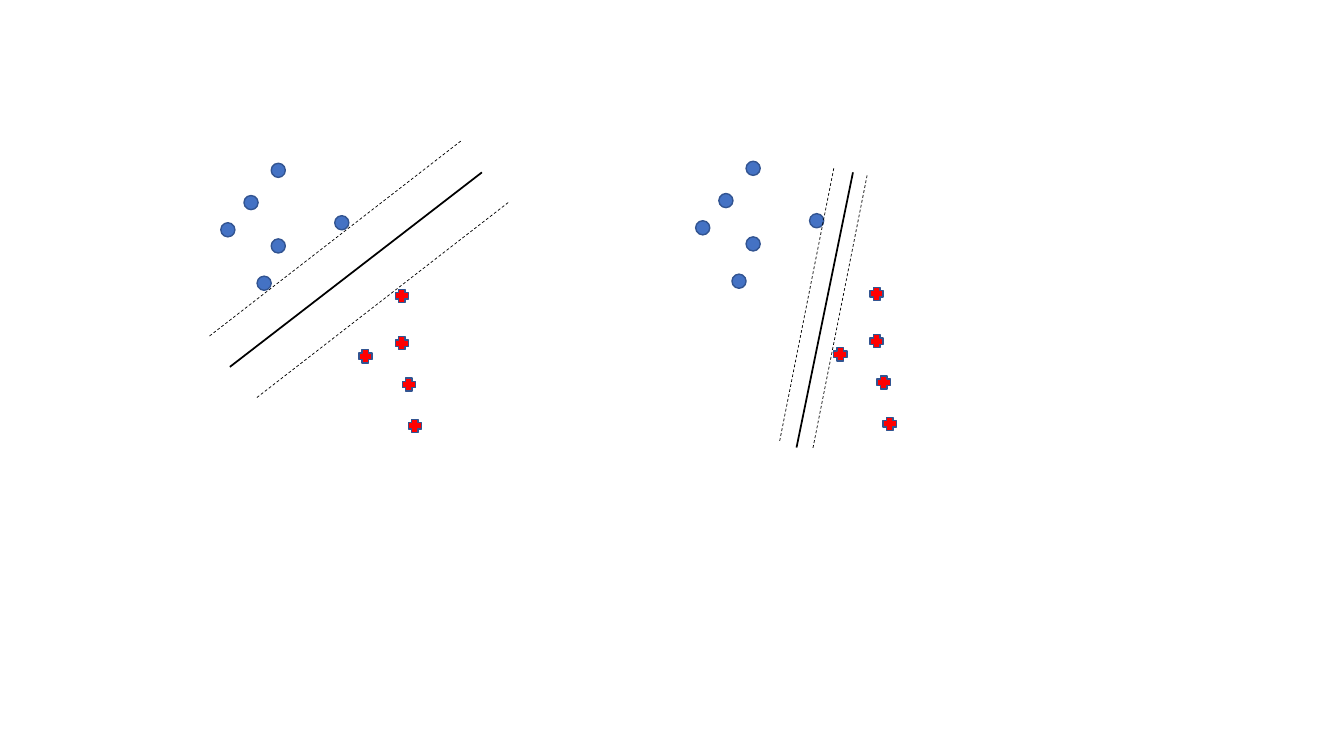
from lxml import etree
from pptx import Presentation
from pptx.dml.color import RGBColor
from pptx.enum.dml import MSO_LINE
from pptx.enum.shapes import MSO_CONNECTOR, MSO_SHAPE
from pptx.oxml.ns import qn
from pptx.util import Inches, Pt

OVAL, PLUS = MSO_SHAPE.OVAL, MSO_SHAPE.CROSS
STRAIGHT, DASH = MSO_CONNECTOR.STRAIGHT, MSO_LINE.DASH
COLORS = {"circle": "4472C4", "cross": "FF0000", "outline": "325491", "line": "000000"}

# Top left corners of the points in the left panel
CIRCLES = [(2.69, 2.37), (3.32, 2.14), (2.19, 2.21), (2.42, 1.94), (2.69, 1.62), (2.55, 2.74)]
CROSSES = [(3.92, 2.87), (3.56, 3.47), (3.92, 3.34), (3.99, 3.75), (4.05, 4.16)]
CLASSES = [
    (OVAL, 0.14, "circle", CIRCLES),
    (PLUS, 0.13, "cross", CROSSES),
]

# Each panel: shift of the points, two margin lines, separating line
PANELS = [
    {
        "shift": (0, 0),
        "margins": [(4.57, 1.4, 2.07, 3.34), (5.04, 2.01, 2.54, 3.95)],
        "separator": (4.78, 1.71, 2.28, 3.64),
    },
    {
        "shift": (4.71, -0.02),
        "margins": [(8.27, 1.67, 7.73, 4.39), (8.6, 1.74, 8.06, 4.46)],
        "separator": (8.46, 1.71, 7.9, 4.44),
    },
]


def rgb(name):
    """Return the named colour."""
    return RGBColor.from_string(COLORS[name])


def add_point(s, kind, x, y, size, fill):
    """Draw one data point."""
    sp = s.shapes.add_shape(kind, Inches(x), Inches(y), Inches(size), Inches(size))
    sp.shadow.inherit = False
    sp.fill.solid()
    sp.fill.fore_color.rgb = rgb(fill)
    sp.line.color.rgb = rgb("outline")
    sp.line.width = Pt(1)


def add_line(s, ends, width, dash=None):
    """Draw a straight line between two ends."""
    line = s.shapes.add_connector(STRAIGHT, *map(Inches, ends))
    line.line.color.rgb = rgb("line")
    line.line.width = Pt(width)
    if dash is not None:
        line.line.dash_style = dash
    etree.SubElement(line._element.spPr, qn("a:effectLst"))


def add_panel(s, panel):
    """Draw both classes of points and the lines between them."""
    dx, dy = panel["shift"]
    for kind, size, fill, points in CLASSES:
        for x, y in points:
            add_point(s, kind, x + dx, y + dy, size, fill)
    for ends in panel["margins"]:
        add_line(s, ends, 0.5, DASH)
    add_line(s, panel["separator"], 1.25)


prs = Presentation()
prs.slide_width, prs.slide_height = Inches(13.33), Inches(7.5)
s = prs.slides.add_slide(prs.slide_layouts[6])
for panel in PANELS:
    add_panel(s, panel)
prs.save("out.pptx")
